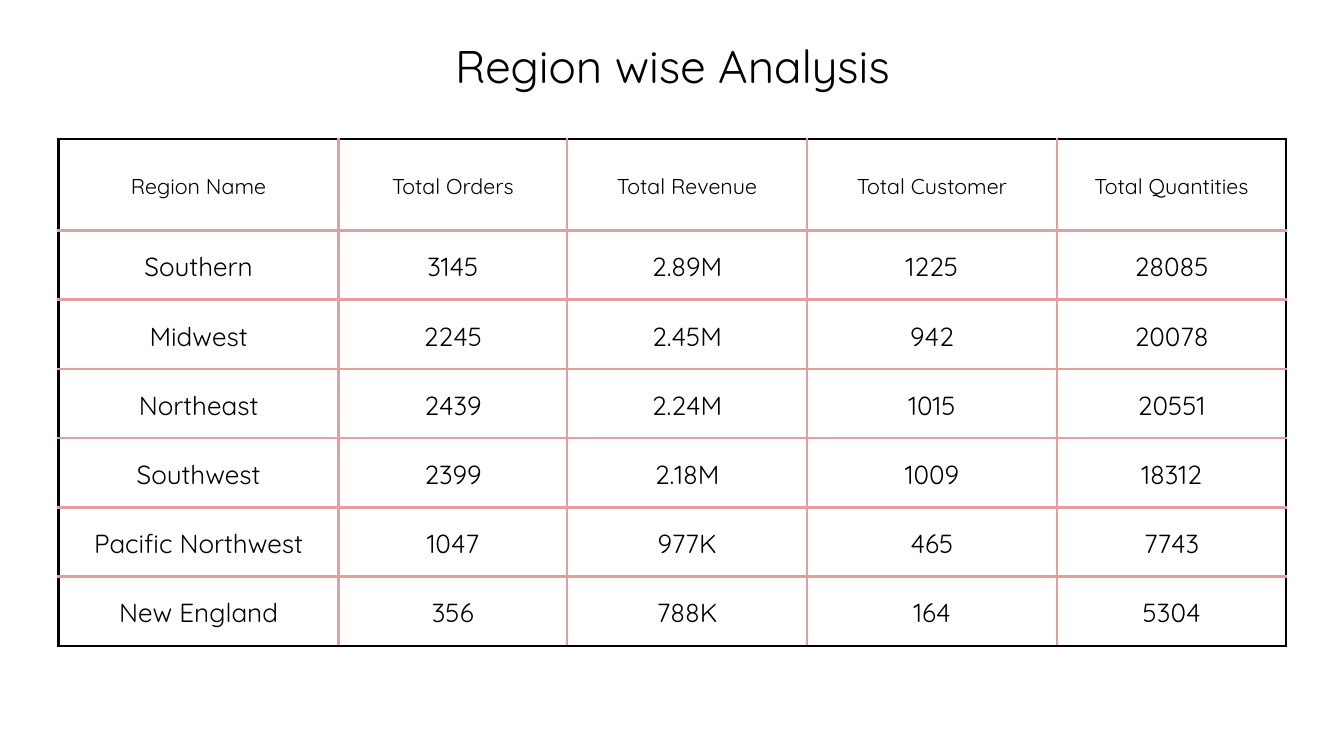
"""Build the region wise analysis slide."""
from dataclasses import dataclass

from lxml import etree
from pptx import Presentation
from pptx import util as u
from pptx.dml.color import RGBColor
from pptx.enum import text
from pptx.oxml import ns

HEADING = "Region wise Analysis"
MEASURES = ("Region Name", "Total Orders", "Total Revenue", "Total Customer", "Total Quantities")
REGIONS = [
    ("Southern", "3145", "2.89M", "1225", "28085"),
    ("Midwest", "2245", "2.45M", "942", "20078"),
    ("Northeast", "2439", "2.24M", "1015", "20551"),
    ("Southwest", "2399", "2.18M", "1009", "18312"),
    ("Pacific Northwest", "1047", "977K", "465", "7743"),
    ("New England", "356", "788K", "164", "5304"),
]
COLUMN_WIDTHS = (4.17, 3.4, 3.57, 3.72, 3.41)
ROW_HEIGHTS = (1.36,) + (1.03,) * len(REGIONS)
LEFT, HEADING_TOP, HEADING_HEIGHT, GRID_TOP = 0.87, 0.42, 0.93, 2.07
CELL_INSET = 0.21


@dataclass(frozen=True)
class Theme:
    font: str = "Quicksand"
    ink: str = "000000"
    rule: str = "E39F9F"
    heading_size: int = 49
    measure_size: int = 23
    region_size: int = 28
    leading: float = 1.4
    rule_width: int = 3


THEME = Theme()


def write(frame, words, size):
    frame.text = words
    line = frame.paragraphs[0]
    line.alignment = text.PP_ALIGN.CENTER
    line.line_spacing = u.Pt(size * THEME.leading)
    font = line.runs[0].font
    font.name = THEME.font
    font.size = u.Pt(size)
    font.color.rgb = RGBColor.from_string(THEME.ink)


def set_inset(holder, inset):
    holder.margin_left = holder.margin_right = inset
    holder.margin_top = holder.margin_bottom = inset


def draw_borders(cell, outer_sides):
    properties = cell._tc.get_or_add_tcPr()
    for side, is_outer in outer_sides.items():
        border = etree.SubElement(properties, ns.qn(f"a:ln{side}"), w=str(u.Pt(THEME.rule_width)))
        fill = etree.SubElement(border, ns.qn("a:solidFill"))
        color = THEME.ink if is_outer else THEME.rule
        etree.SubElement(fill, ns.qn("a:srgbClr"), val=color)


def add_heading(slide):
    heading = slide.shapes.add_textbox(
        u.Inches(LEFT), u.Inches(HEADING_TOP),
        u.Inches(sum(COLUMN_WIDTHS)), u.Inches(HEADING_HEIGHT))
    frame = heading.text_frame
    frame.word_wrap = True
    frame.auto_size = text.MSO_AUTO_SIZE.SHAPE_TO_FIT_TEXT
    set_inset(frame, 0)
    write(frame, HEADING, THEME.heading_size)


def add_region_grid(slide):
    rows = [MEASURES, *REGIONS]
    last_row, last_column = len(rows) - 1, len(MEASURES) - 1
    grid = slide.shapes.add_table(
        len(rows), len(MEASURES), u.Inches(LEFT), u.Inches(GRID_TOP),
        u.Inches(sum(COLUMN_WIDTHS)), u.Inches(sum(ROW_HEIGHTS))).table
    grid.first_row = grid.horz_banding = False
    for column, width in zip(grid.columns, COLUMN_WIDTHS):
        column.width = u.Inches(width)
    for row, height in zip(grid.rows, ROW_HEIGHTS):
        row.height = u.Inches(height)
    for r, values in enumerate(rows):
        size = THEME.region_size if r else THEME.measure_size
        for c, value in enumerate(values):
            cell = grid.cell(r, c)
            write(cell.text_frame, value, size)
            set_inset(cell, u.Inches(CELL_INSET))
            cell.vertical_anchor = text.MSO_ANCHOR.MIDDLE
            draw_borders(cell, {"L": c == 0, "R": c == last_column,
                                "T": r == 0, "B": r == last_row})
            cell.fill.background()


def main():
    deck = Presentation()
    deck.slide_width, deck.slide_height = u.Inches(20), u.Inches(11.25)
    slide = deck.slides.add_slide(deck.slide_layouts[6])
    add_region_grid(slide)
    add_heading(slide)
    deck.save("out.pptx")


if __name__ == "__main__":
    main()
